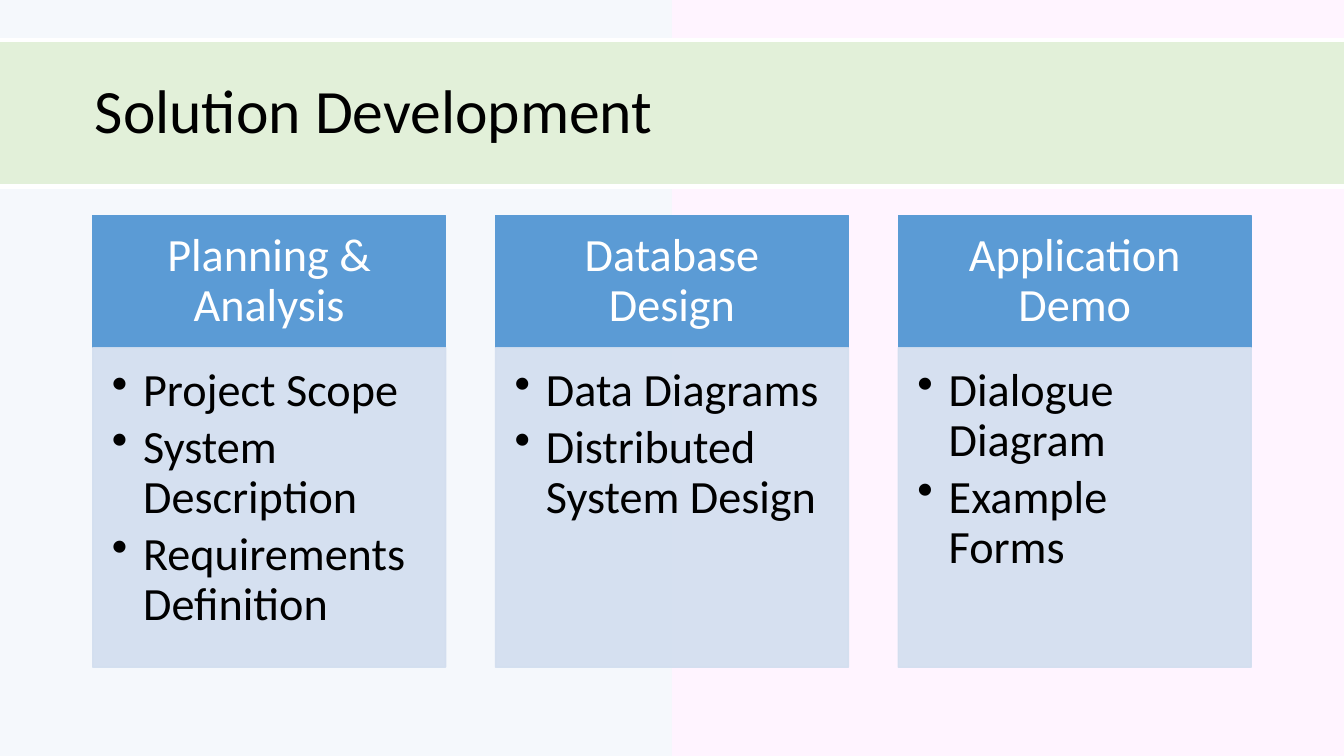
from lxml import etree
from pptx import Presentation
from pptx.dml.color import RGBColor
from pptx.enum.shapes import MSO_SHAPE
from pptx.enum.text import MSO_ANCHOR, PP_ALIGN
from pptx.oxml.ns import qn
from pptx.util import Inches, Pt

RECTANGLE = MSO_SHAPE.RECTANGLE
MIDDLE, TOP = MSO_ANCHOR.MIDDLE, MSO_ANCHOR.TOP
LEFT, CENTER = PP_ALIGN.LEFT, PP_ALIGN.CENTER

FONT = "Calibri"
COLORS = {
    "pink": "FFCCFF",
    "pale_blue": "DEEBF7",
    "green": "E2F0D9",
    "header": "5B9BD5",
    "body": "D2DEEF",
    "white": "FFFFFF",
    "black": "000000",
}
TOPICS = [
    ("Planning & Analysis",
     ["Project Scope", "System Description", "Requirements Definition"]),
    ("Database Design", ["Data Diagrams", "Distributed System Design"]),
    ("Application Demo", ["Dialogue Diagram", "Example Forms"]),
]


def paint(target, color, opacity=100):
    target.solid()
    target.fore_color.rgb = RGBColor.from_string(COLORS[color])
    if opacity < 100:
        for tint in target._xPr.iter(qn("a:srgbClr")):
            alpha = etree.SubElement(tint, qn("a:alpha"))
            alpha.set("val", str(opacity * 1000))


def add_panel(page, box, color, opacity=100, line=None, line_width=1):
    panel = page.shapes.add_shape(RECTANGLE, *map(Inches, box))
    panel.shadow.inherit = False
    paint(panel.fill, color, opacity)
    if line:
        panel.line.width = Pt(line_width)
        paint(panel.line.fill, line, opacity)
    else:
        panel.line.fill.background()
    return panel


def write(panel, texts, size, color, insets, anchor=MIDDLE, align=LEFT,
          bullets=False):
    frame = panel.text_frame
    frame.word_wrap = True
    frame.vertical_anchor = anchor
    (frame.margin_left, frame.margin_top,
     frame.margin_right, frame.margin_bottom) = map(Inches, insets)
    for index, text in enumerate(texts):
        para = frame.add_paragraph() if index else frame.paragraphs[0]
        para.alignment = align
        para.line_spacing = 0.9
        if bullets:
            add_bullet(para)
        span = para.add_run()
        span.text = text
        span.font.name = FONT
        span.font.size = Pt(size)
        span.font.color.rgb = RGBColor.from_string(COLORS[color])


def add_bullet(para):
    para.space_after = Pt(5)
    props = para._p.get_or_add_pPr()
    props.set("marL", str(Inches(0.31)))
    props.set("indent", str(Inches(-0.31)))
    etree.SubElement(props, qn("a:buChar")).set("char", "•")


def add_background(page, box):
    left, top, width, height = box
    half = width / 2
    add_panel(page, (left + half, top, half, height), "pink", 20)
    add_panel(page, (left, top, half, height), "pale_blue", 30)


def add_title(page, box):
    band = add_panel(page, box, "green", line="white", line_width=3)
    write(band, ["Solution Development"], 44, "black", (1.1, 0.05, 0.1, 0.05))


def add_topic(page, box, heading, points):
    left, top, width, height = box
    header_height = 1.31
    header = add_panel(page, (left, top, width, header_height), "header",
                       line="header")
    write(header, [heading], 33, "white", (0.26, 0.15, 0.26, 0.15),
          align=CENTER)
    body = add_panel(
        page, (left, top + header_height, width, height - header_height),
        "body", 90, line="body")
    write(body, points, 33, "black", (0.19, 0.19, 0.26, 0.29), anchor=TOP,
          bullets=True)


def add_topics(page, box):
    left, top, width, height = box
    column = 3.5
    step = (width - column) / (len(TOPICS) - 1)
    for index, (heading, points) in enumerate(TOPICS):
        add_topic(page, (left + index * step, top, column, height),
                  heading, points)


deck = Presentation()
deck.slide_width, deck.slide_height = Inches(13.33), Inches(7.5)
page = deck.slides.add_slide(deck.slide_layouts[6])
add_background(page, (0, 0, 13.33, 7.5))
add_title(page, (-0.16, 0.4, 13.69, 1.45))
add_topics(page, (0.92, 2.14, 11.49, 4.48))
deck.save("out.pptx")
